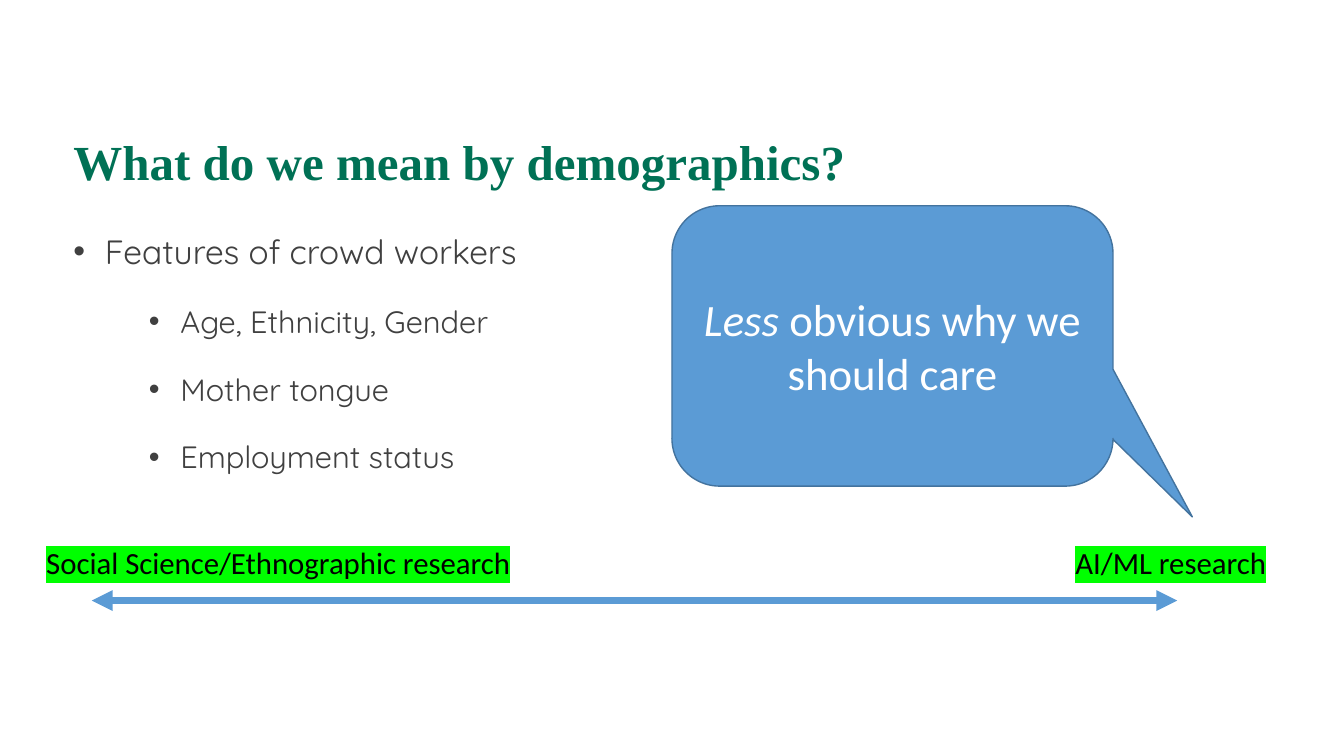
from dataclasses import dataclass

from lxml import etree
from pptx import Presentation, util as u
from pptx.dml.color import RGBColor
from pptx.enum import shapes, text
from pptx.oxml import ns

COLUMNS, ROWS = 64, 36
CELL = u.Inches(7.5) / ROWS


@dataclass(frozen=True)
class Theme:
    title_font: str = "Times New Roman"
    body_font: str = "Quicksand"
    label_font: str = "Calibri"
    title_size: int = 35
    body_size: int = 24
    label_size: int = 22
    callout_size: int = 32
    green: str = "007155"
    gray: str = "404040"
    black: str = "000000"
    white: str = "FFFFFF"
    blue: str = "5B9BD5"
    outline: str = "43739E"
    highlight: str = "00FF00"


@dataclass(frozen=True)
class Area:
    column: float
    row: float
    columns: float
    rows: float

    def lengths(self) -> list[int]:
        return [grid(n) for n in (self.column, self.row, self.columns, self.rows)]


@dataclass(frozen=True)
class Bullet:
    wording: str
    level: int
    size: int
    space_before: int


@dataclass(frozen=True)
class Label:
    wording: str
    area: Area


THEME = Theme()
TITLE_AREA = Area(3.02, 4.37, 55.2, 6.96)
BODY_AREA = Area(3.02, 9.8, 55.2, 14.88)
CALLOUT_AREA = Area(32, 9.8, 21, 13.35)
CALLOUT_ADJUSTMENTS = (0.68, 0.61, 0.17)
ARROW_START, ARROW_END, ARROW_ROW = 4.37, 56.06, 28.6
BULLET_INDENT, LEVEL_INDENT = 1.5, 3.6

BULLETS = [Bullet("Features of crowd workers", 0, THEME.body_size, 0)] + [
    Bullet(wording, 1, THEME.label_size, 5)
    for wording in ("Age, Ethnicity, Gender", "Mother tongue", "Employment status")
]
LABELS = [
    Label("Social Science/Ethnographic research", Area(1.73, 25.68, 25.73, 2.26)),
    Label("AI/ML research", Area(50.74, 25.68, 10.61, 2.26)),
]


def grid(count: float) -> int:
    return u.Emu(round(count * CELL))


def color(code: str) -> RGBColor:
    return RGBColor.from_string(code)


def set_font(paragraph, name: str, size: int, code: str, bold: bool = False) -> None:
    font = paragraph.font
    font.name, font.size, font.bold = name, u.Pt(size), bold
    font.color.rgb = color(code)


def add_text_frame(slide, area: Area):
    frame = slide.shapes.add_textbox(*area.lengths()).text_frame
    frame.word_wrap = True
    return frame


def add_title(slide) -> None:
    frame = add_text_frame(slide, TITLE_AREA)
    frame.vertical_anchor = text.MSO_ANCHOR.MIDDLE
    paragraph = frame.paragraphs[0]
    paragraph.text = "What do we mean by demographics?"
    paragraph.line_spacing = 0.9
    set_font(paragraph, THEME.title_font, THEME.title_size, THEME.green, bold=True)


def add_bullets(slide) -> None:
    frame = add_text_frame(slide, BODY_AREA)
    for index, bullet in enumerate(BULLETS):
        paragraph = frame.add_paragraph() if index else frame.paragraphs[0]
        paragraph.text = bullet.wording
        paragraph.level = bullet.level
        properties = paragraph._p.get_or_add_pPr()
        properties.set("marL", str(grid(BULLET_INDENT + bullet.level * LEVEL_INDENT)))
        properties.set("indent", str(-grid(BULLET_INDENT)))
        etree.SubElement(properties, ns.qn("a:buFont"), typeface="Arial")
        etree.SubElement(properties, ns.qn("a:buChar"), char="•")
        paragraph.line_spacing = 1.5
        if bullet.space_before:
            paragraph.space_before = u.Pt(bullet.space_before)
        paragraph.space_after = u.Pt(4)
        set_font(paragraph, THEME.body_font, bullet.size, THEME.gray)


def add_arrow(slide) -> None:
    row = grid(ARROW_ROW)
    arrow = slide.shapes.add_connector(
        shapes.MSO_CONNECTOR.STRAIGHT, grid(ARROW_START), row, grid(ARROW_END), row
    )
    arrow.line.color.rgb = color(THEME.blue)
    arrow.line.width = u.Pt(5)
    properties = arrow.element.find(ns.qn("p:spPr"))
    line = properties.find(ns.qn("a:ln"))
    for end in ("a:headEnd", "a:tailEnd"):
        etree.SubElement(line, ns.qn(end), type="triangle")
    etree.SubElement(properties, ns.qn("a:effectLst"))


def add_label(slide, label: Label) -> None:
    paragraph = add_text_frame(slide, label.area).paragraphs[0]
    run = paragraph.add_run()
    run.text = label.wording
    highlight = etree.SubElement(run._r.get_or_add_rPr(), ns.qn("a:highlight"))
    etree.SubElement(highlight, ns.qn("a:srgbClr"), val=THEME.highlight)
    set_font(paragraph, THEME.label_font, THEME.label_size, THEME.black)


def add_callout(slide) -> None:
    callout = slide.shapes.add_shape(
        shapes.MSO_SHAPE.ROUNDED_RECTANGULAR_CALLOUT, *CALLOUT_AREA.lengths()
    )
    for index, value in enumerate(CALLOUT_ADJUSTMENTS):
        callout.adjustments[index] = value
    callout.shadow.inherit = False
    callout.fill.solid()
    callout.fill.fore_color.rgb = color(THEME.blue)
    callout.line.color.rgb = color(THEME.outline)
    callout.line.width = u.Pt(1)
    frame = callout.text_frame
    frame.word_wrap = True
    frame.vertical_anchor = text.MSO_ANCHOR.MIDDLE
    paragraph = frame.paragraphs[0]
    paragraph.alignment = text.PP_ALIGN.CENTER
    for wording, italic in (("Less", True), (" obvious why we should care", False)):
        run = paragraph.add_run()
        run.text = wording
        run.font.italic = italic
    set_font(paragraph, THEME.label_font, THEME.callout_size, THEME.white)


def main() -> None:
    presentation = Presentation()
    presentation.slide_width = grid(COLUMNS)
    presentation.slide_height = grid(ROWS)
    slide = presentation.slides.add_slide(presentation.slide_layouts[6])
    add_title(slide)
    add_bullets(slide)
    add_arrow(slide)
    for label in LABELS:
        add_label(slide, label)
    add_callout(slide)
    presentation.save("out.pptx")


if __name__ == "__main__":
    main()
